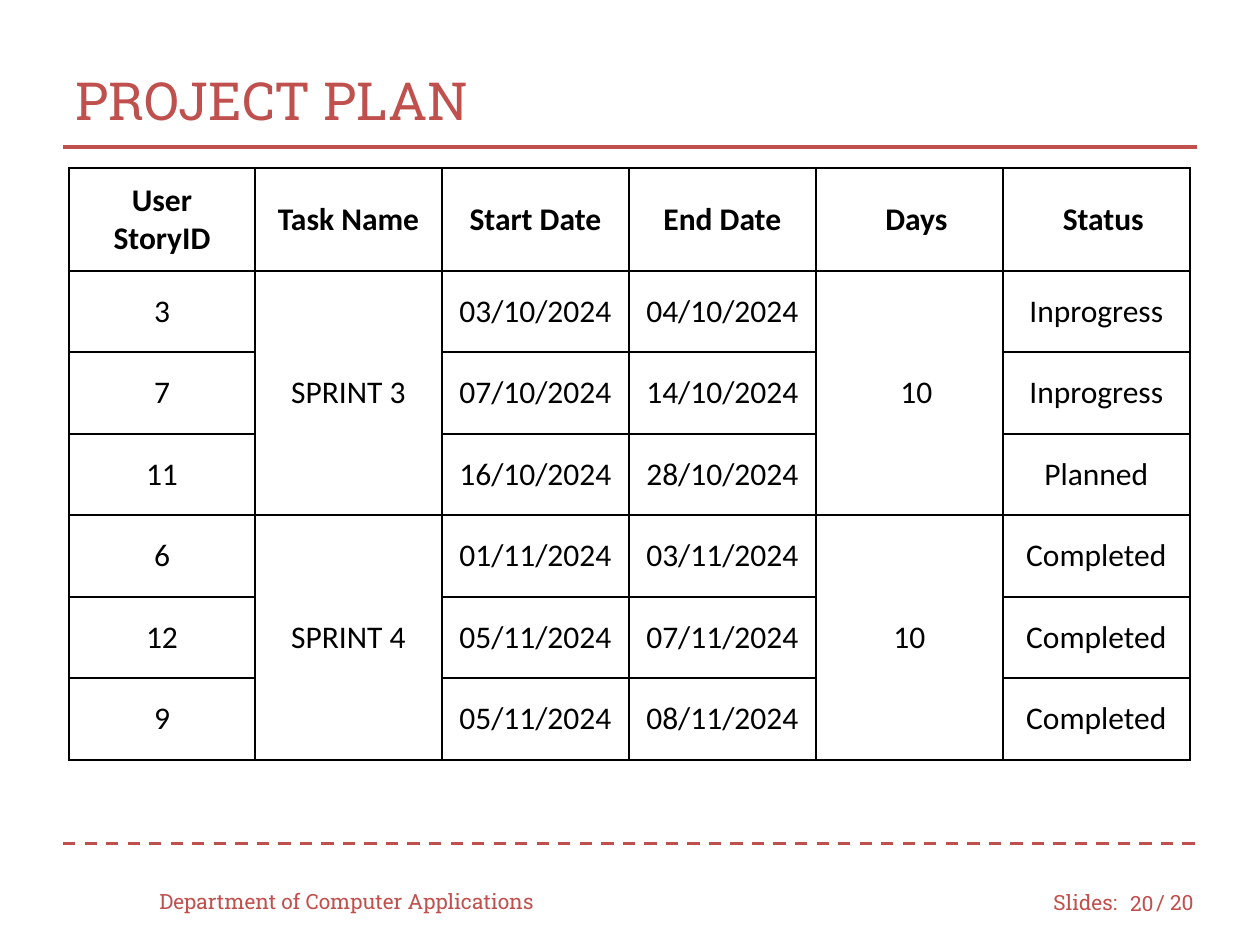
from dataclasses import dataclass
from lxml import etree
from pptx import Presentation, util as u
from pptx.dml.color import RGBColor
from pptx.enum import dml, shapes, text
from pptx.oxml.ns import qn

HEADS = ["User\nStoryID", "Task Name", "Start Date", "End Date", "Days", "Status"]
SPRINTS = [
    ("SPRINT 3", "10", [
        ("3", "03/10/2024", "04/10/2024", "Inprogress"),
        ("7", "07/10/2024", "14/10/2024", "Inprogress"),
        ("11", "16/10/2024", "28/10/2024", "Planned"),
    ]),
    ("SPRINT 4", "10", [
        ("6", "01/11/2024", "03/11/2024", "Completed"),
        ("12", "05/11/2024", "07/11/2024", "Completed"),
        ("9", "05/11/2024", "08/11/2024", "Completed"),
    ]),
]
LABELS = [
    ("PROJECT PLAN", (63, 42, 1134, 116), "title", "LEFT"),
    ("Department of Computer Applications", (147, 876, 420, 50), "foot", "LEFT"),
    ("Slides:", (1041, 877, 95, 50), "foot", "LEFT"),
    ("20", (1113, 878, 53, 50), "foot", "RIGHT"),
    ("/ 20", (1144, 877, 73, 50), "foot", "LEFT"),
]
RULES = [(147, None), (844, dml.MSO_LINE.DASH)]
RULE_X = (63, 1197)
TABLE_X, TABLE_Y = 69, 168
COLS = [186] + [187] * 5
ROWS = [103] + [81, 82] * 3
PAD = 13
NUDGES = {(0, 4): 14, (0, 5): 14, (1, 4): 14}


@dataclass(frozen=True)
class Theme:
    red: RGBColor = RGBColor(0xC0, 0x50, 0x4D)
    black: RGBColor = RGBColor(0, 0, 0)
    white: RGBColor = RGBColor(255, 255, 255)
    slab: str = "Roboto Slab"
    sans: str = "Calibri"
    title: int = 30
    foot: int = 12
    body: int = 18
    rule: float = 1.75
    grid: int = 1


THEME = Theme()


def px(n):
    return u.Emu(round(n * 914400 / 126))


def style(frame, face, size, color, align, bold=False):
    for para in frame.paragraphs:
        para.alignment = align
        font = para.font
        font.name, font.size, font.bold = face, u.Pt(size), bold
        font.color.rgb = color


def add_label(slide, words, box, role, align):
    frame = slide.shapes.add_textbox(*map(px, box)).text_frame
    frame.word_wrap = True
    frame.vertical_anchor = text.MSO_ANCHOR.MIDDLE
    frame.text = words
    style(frame, THEME.slab, getattr(THEME, role), THEME.red,
          getattr(text.PP_ALIGN, align))


def add_rule(slide, y, dash):
    left, right = RULE_X
    rule = slide.shapes.add_connector(
        shapes.MSO_CONNECTOR.STRAIGHT, px(left), px(y), px(right), px(y))
    rule.line.color.rgb = THEME.red
    rule.line.width = u.Pt(THEME.rule)
    if dash:
        rule.line.dash_style = dash
    etree.SubElement(rule._element.spPr, qn("a:effectLst"))


def add_borders(cell):
    props = cell._tc.get_or_add_tcPr()
    for place, side in enumerate(("lnL", "lnR", "lnT", "lnB")):
        line = etree.Element(qn("a:" + side), w=str(u.Pt(THEME.grid)))
        fill = etree.SubElement(line, qn("a:solidFill"))
        etree.SubElement(fill, qn("a:srgbClr"), val=str(THEME.black))
        props.insert(place, line)


def add_plan(slide):
    grid = slide.shapes.add_table(
        len(ROWS), len(COLS), px(TABLE_X), px(TABLE_Y),
        px(sum(COLS)), px(sum(ROWS))).table
    for col, width in zip(grid.columns, COLS):
        col.width = px(width)
    for row, height in zip(grid.rows, ROWS):
        row.height = px(height)

    lines = [HEADS]
    for name, days, tasks in SPRINTS:
        top = len(lines)
        for step, (story, start, end, state) in enumerate(tasks):
            first = step == 0
            lines.append([story, name if first else "", start, end,
                          days if first else "", state])
        for col in (1, 4):
            grid.cell(top, col).merge(grid.cell(len(lines) - 1, col))

    for r, line in enumerate(lines):
        for c, words in enumerate(line):
            cell = grid.cell(r, c)
            cell.fill.solid()
            cell.fill.fore_color.rgb = THEME.white
            add_borders(cell)
            cell.vertical_anchor = text.MSO_ANCHOR.MIDDLE
            cell.margin_left = px(PAD + NUDGES.get((r, c), 0))
            cell.margin_right = cell.margin_top = cell.margin_bottom = px(PAD)
            cell.text_frame.text = words
            style(cell.text_frame, THEME.sans, THEME.body, THEME.black,
                  text.PP_ALIGN.CENTER, r == 0)


def main():
    deck = Presentation()
    deck.slide_width, deck.slide_height = px(1260), px(945)
    slide = deck.slides.add_slide(deck.slide_layouts[6])
    for rule in RULES:
        add_rule(slide, *rule)
    for label in LABELS:
        add_label(slide, *label)
    add_plan(slide)
    deck.save("out.pptx")


if __name__ == "__main__":
    main()
